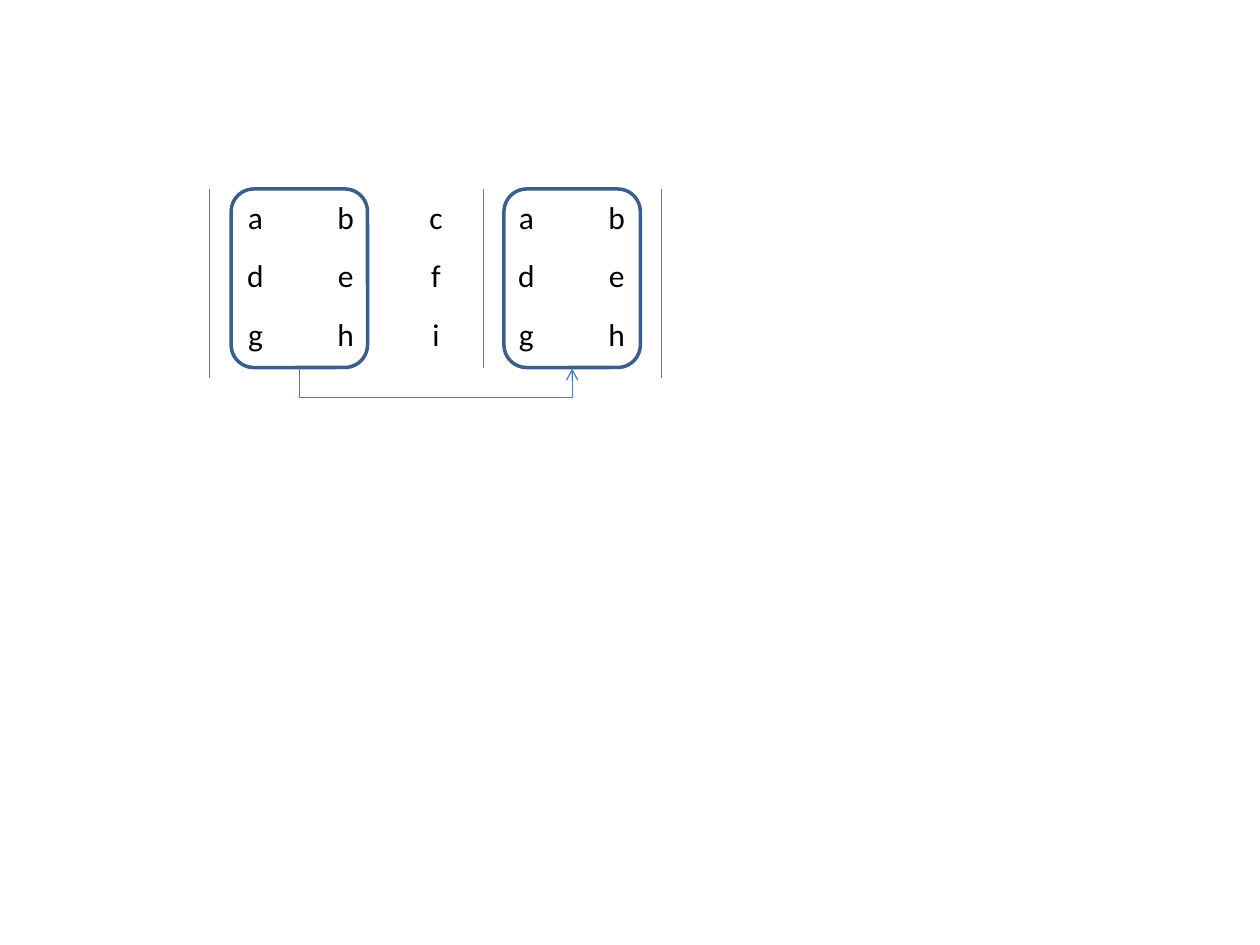
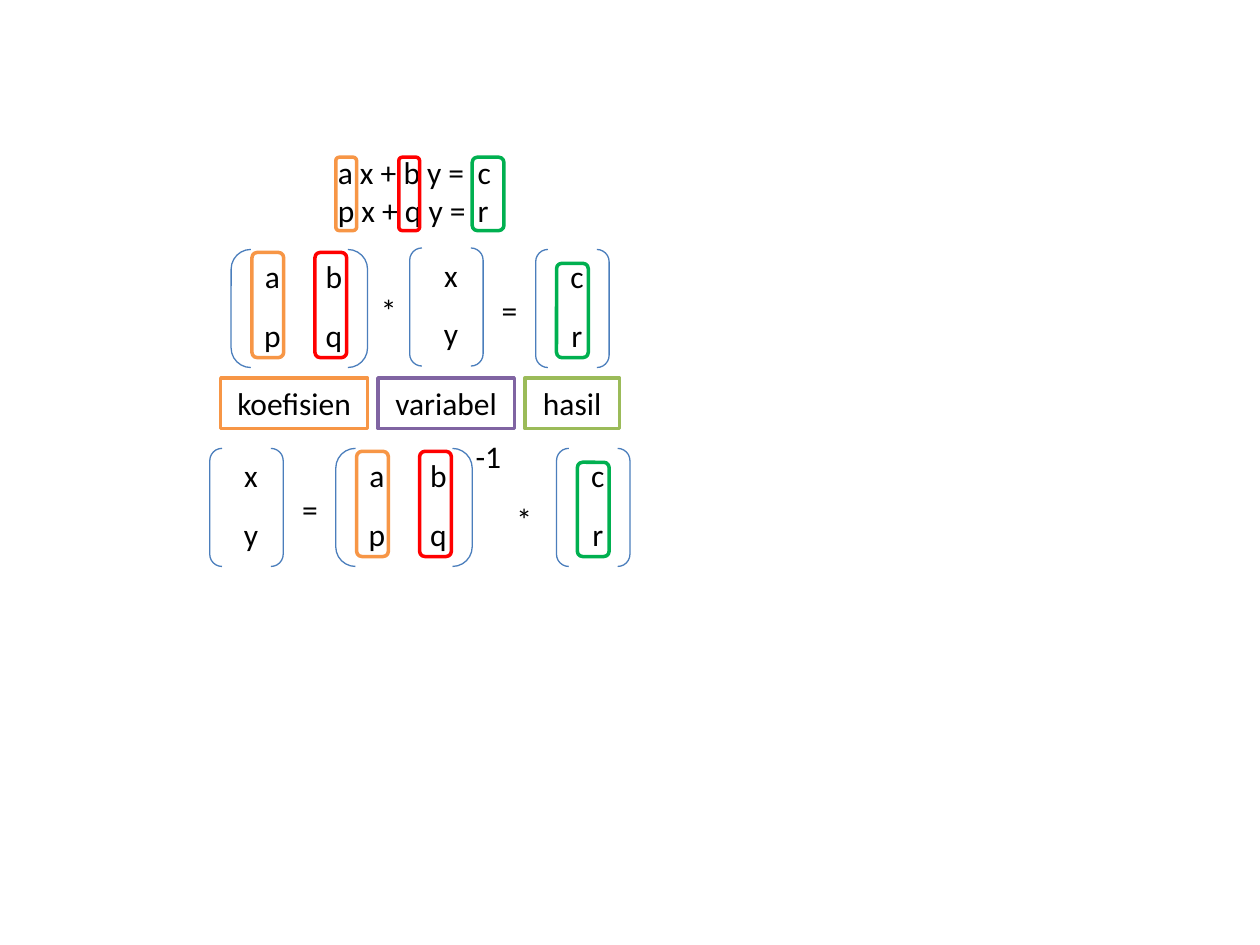
from lxml.etree import SubElement
from pptx import Presentation
from pptx.dml.color import RGBColor
from pptx.enum.shapes import MSO_CONNECTOR, MSO_SHAPE
from pptx.enum.text import MSO_ANCHOR, MSO_AUTO_SIZE, PP_ALIGN
from pptx.oxml.ns import qn
from pptx.util import Cm, Pt

# Shared style
FONT = "Calibri"
BLACK, WHITE = "000000", "FFFFFF"
LINE_BLUE, FRAME_BLUE = "4B7EBC", "3A5F8C"
ORANGE, RED, GREEN = "F79646", "FF0000", "00B050"
PURPLE, OLIVE = "8064A2", "9BBB59"
THIN, THICK = 0.75, 2

# Measures in centimetres
ROW_HEIGHT = 1.18
BRACKET_HEIGHT = 2.38
BRACKET_WIDTHS = {1: 1.48, 2: 2.75}
COEFFICIENTS = [["a", "b"], ["p", "q"]]
VARIABLES = [["x"], ["y"]]
RESULTS = [["c"], ["r"]]


def color(hex_text):
    return RGBColor.from_string(hex_text)


def write(paragraph, text, align=None, tab=None):
    paragraph.add_run().text = text
    if tab:
        stops = SubElement(paragraph._p.get_or_add_pPr(), qn("a:tabLst"))
        SubElement(stops, qn("a:tab"), pos=str(Cm(tab)), algn="l")
    paragraph.alignment = align
    paragraph.font.name = FONT
    paragraph.font.size = Pt(18)
    paragraph.font.color.rgb = color(BLACK)


def fill_frame(frame, lines, **style):
    frame.word_wrap = True
    frame.auto_size = MSO_AUTO_SIZE.SHAPE_TO_FIT_TEXT
    for index, line in enumerate(lines):
        paragraph = frame.add_paragraph() if index else frame.paragraphs[0]
        write(paragraph, line, **style)


def add_text(page, lines, left, top, width, height=1.02, **style):
    box = page.shapes.add_textbox(Cm(left), Cm(top), Cm(width), Cm(height))
    fill_frame(box.text_frame, lines, **style)


def add_outline(page, kind, left, top, width, height, line, weight=THICK):
    shape = page.shapes.add_shape(kind, Cm(left), Cm(top), Cm(width), Cm(height))
    shape.shadow.inherit = False
    shape.fill.background()
    shape.line.color.rgb = color(line)
    shape.line.width = Pt(weight)
    return shape


def add_label(page, text, left, width, line):
    label = add_outline(page, MSO_SHAPE.RECTANGLE, left, 7.62, width, 1.02, line)
    label.fill.solid()
    label.fill.fore_color.rgb = color(WHITE)
    fill_frame(label.text_frame, [text], align=PP_ALIGN.CENTER)


def add_grid(page, rows, left, top, column_width):
    columns = len(rows[0])
    table = page.shapes.add_table(
        len(rows), columns, Cm(left), Cm(top),
        Cm(column_width * columns), Cm(ROW_HEIGHT * len(rows))).table
    table.first_row = table.horz_banding = False
    for r, row in enumerate(rows):
        for c, letter in enumerate(row):
            cell = table.cell(r, c)
            cell.fill.background()
            cell.vertical_anchor = MSO_ANCHOR.TOP
            write(cell.text_frame.paragraphs[0], letter, align=PP_ALIGN.CENTER)


def add_matrix(page, rows, left, top):
    """Bracketed grid with its coefficient or result columns framed."""
    add_grid(page, rows, left + 0.21, top + 0.06, 1.24)
    add_outline(page, MSO_SHAPE.DOUBLE_BRACKET, left, top,
                BRACKET_WIDTHS[len(rows[0])], BRACKET_HEIGHT, LINE_BLUE, THIN)
    frames = []
    if rows is COEFFICIENTS:
        frames = [(1.69, 0.06, 2.12, RED), (0.42, 0.06, 2.12, ORANGE)]
    elif rows is RESULTS:
        frames = [(0.42, 0.28, 1.9, GREEN)]
    for shift, drop, height, line in frames:
        add_outline(page, MSO_SHAPE.ROUNDED_RECTANGLE,
                    left + shift, top + drop, 0.64, height, line)


def style_connector(connector):
    connector.line.color.rgb = color(LINE_BLUE)
    connector.line.width = Pt(THIN)
    SubElement(connector._element.spPr, qn("a:effectLst"))


def add_bar(page, x, top, bottom):
    bar = page.shapes.add_connector(
        MSO_CONNECTOR.STRAIGHT, Cm(x), Cm(top), Cm(x), Cm(bottom))
    style_connector(bar)


def add_loop_arrow(page, source, target, depth):
    """Elbow arrow that runs below two boxes, from bottom to bottom."""
    arrow = page.shapes.add_connector(MSO_CONNECTOR.ELBOW, 0, 0, 0, 0)
    arrow.begin_connect(source, 2)
    arrow.end_connect(target, 2)

    # The elbow lies on its side, so its height is the distance spanned
    thickness = Cm(0.04)
    span = target.left - source.left
    arrow.width, arrow.height = thickness, span
    arrow.left = source.left + (source.width + span - thickness) // 2
    arrow.top = source.top + source.height - span // 2
    properties = arrow._element.spPr
    frame = properties.find(qn("a:xfrm"))
    for name, value in (("rot", "16200000"), ("flipH", "1"), ("flipV", "0")):
        frame.set(name, value)
    guides = properties.find(qn("a:prstGeom")).find(qn("a:avLst"))
    bend = round(Cm(depth) / thickness * 100000)
    SubElement(guides, qn("a:gd"), name="adj1", fmla=f"val {bend}")

    style_connector(arrow)
    SubElement(properties.find(qn("a:ln")), qn("a:tailEnd"), type="arrow")


def build_determinant(page):
    letters = ["abc", "def", "ghi"]
    add_grid(page, [row + row[:2] for row in letters], 4.24, 3.89, 1.82)
    add_bar(page, 9.74, 3.81, 7.41)
    copied, pasted = [
        add_outline(page, MSO_SHAPE.ROUNDED_RECTANGLE, left, 3.81, 2.75, 3.6, FRAME_BLUE)
        for left in (4.66, 10.16)]
    add_loop_arrow(page, copied, pasted, 0.63)
    for x in (4.23, 13.34):
        add_bar(page, x, 3.81, 7.62)


def build_equations(page):
    # Solved form
    solved_top = 9.04
    add_matrix(page, COEFFICIENTS, 6.77, solved_top)
    add_matrix(page, VARIABLES, 4.23, solved_top)
    add_matrix(page, RESULTS, 11.22, solved_top)

    # Pair of equations with framed terms
    add_text(page, ["a x + b y =\tc", "p x + q y =\tr"], 6.56, 2.96, 3.81, 1.8, tab=2.82)
    for left, width, line in ((6.77, 0.42, ORANGE), (8.04, 0.42, RED), (9.52, 0.64, GREEN)):
        add_outline(page, MSO_SHAPE.ROUNDED_RECTANGLE, left, 3.17, width, 1.48, line)

    # Matrix form
    matrix_top = 5.03
    add_matrix(page, COEFFICIENTS, 4.66, matrix_top)
    add_matrix(page, VARIABLES, 8.26, matrix_top - 0.03)
    add_matrix(page, RESULTS, 10.8, matrix_top)

    # Operators and exponent
    for sign, left, top, width in (("*", 7.41, 5.74, 0.85), ("=", 9.74, 5.74, 1.06),
                                   ("*", 10.16, 9.95, 0.64), ("=", 5.72, 9.76, 1.06),
                                   ("-1", 9.31, 8.68, 1.07)):
        add_text(page, [sign], left, top, width, align=PP_ALIGN.CENTER)

    # Names of the three parts
    add_label(page, "koefisien", 4.45, 2.96, ORANGE)
    add_label(page, "variabel", 7.62, 2.75, PURPLE)
    add_label(page, "hasil", 10.58, 1.91, OLIVE)


def main():
    deck = Presentation()
    deck.slide_width, deck.slide_height = Cm(25.4), Cm(19.05)
    for build in (build_determinant, build_equations):
        build(deck.slides.add_slide(deck.slide_layouts[6]))
    deck.save("out.pptx")


if __name__ == "__main__":
    main()
